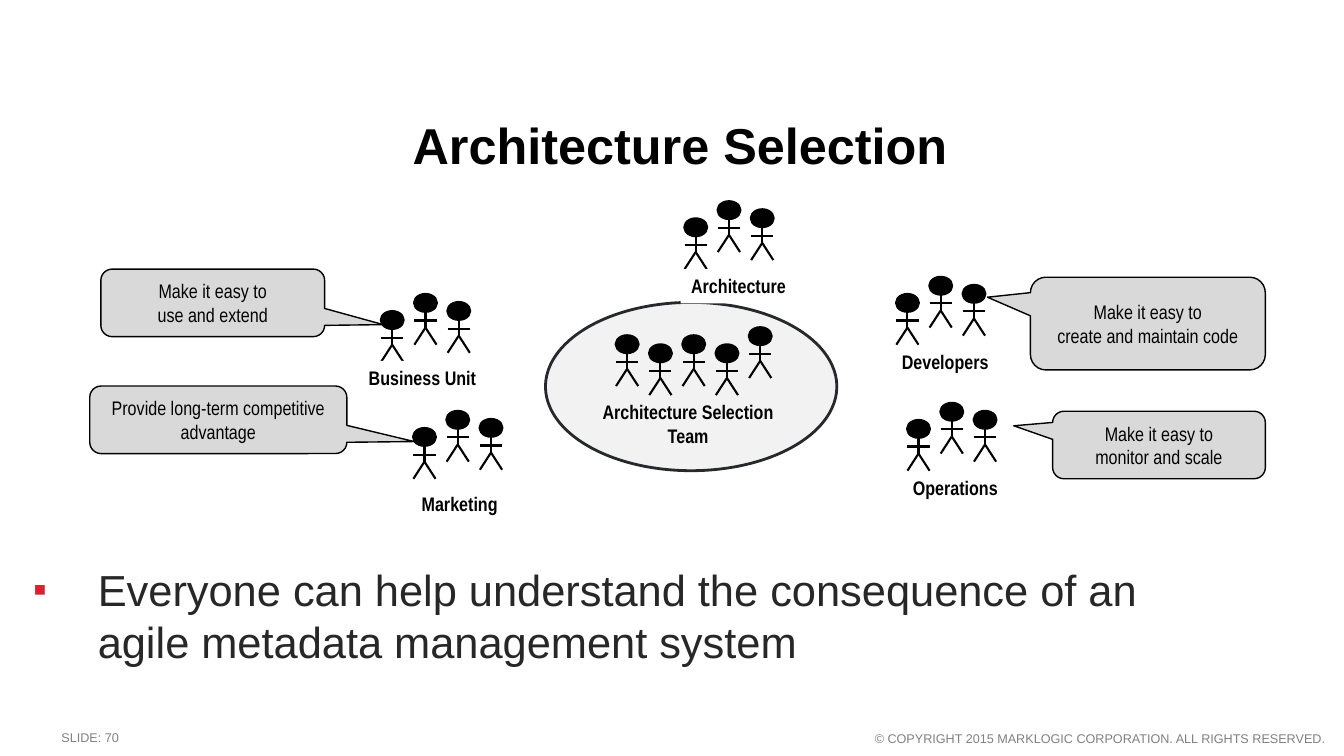
from dataclasses import dataclass

from lxml import etree
from pptx import Presentation
from pptx import util as u
from pptx.dml.color import RGBColor
from pptx.enum import shapes, text
from pptx.oxml.ns import qn

PX = 9144  # EMU in one px, 100 px to the inch
COLORS = {
    "ink": "010101",
    "body": "272727",
    "bullet": "D92231",
    "footer": "808080",
    "callout": "D9D9D9",
    "team": "F2F2F2",
    "team_edge": "27282C",
    "white": "FFFFFF",
}
HEAD_WIDTH, HEAD_HEIGHT, LIMB = 22, 17, 17
PERSON_STEP = 33
TRIO = (17, 0, 8)
TEAM_ROW = (8, 17, 8, 17, 0)


@dataclass(frozen=True)
class Box:
    left: int
    top: int
    width: int
    height: int

    def emu(self) -> tuple[int, ...]:
        return tuple(v * PX for v in (self.left, self.top, self.width, self.height))


@dataclass(frozen=True)
class Crowd:
    name: str
    left: int
    top: int
    label: Box
    drops: tuple[int, ...] = TRIO
    label_fill: str | None = None


@dataclass(frozen=True)
class Callout:
    words: str
    box: Box
    tip: tuple[float, float]


TIP_LEFT, TIP_RIGHT = (-0.683, -0.284), (0.762, 0.322)

CROWDS = [
    Crowd("Business Unit", 378, 292, Box(355, 358, 128, 34), label_fill="white"),
    Crowd("Operations", 900, 400, Box(895, 467, 105, 34)),
    Crowd("Developers", 889, 275, Box(884, 342, 107, 34)),
    Crowd("Architecture Selection\nTeam", 611, 325, Box(587, 392, 191, 57), TEAM_ROW),
    Crowd("Marketing", 410, 408, Box(408, 483, 96, 34), label_fill="white"),
    Crowd("Architecture", 679, 200, Box(675, 267, 115, 34), label_fill="white"),
]
CALLOUTS = [
    Callout("Make it easy to\ncreate and maintain code", Box(1022, 275, 233, 92), TIP_LEFT),
    Callout("Make it easy to\nmonitor and scale", Box(1044, 408, 211, 67), TIP_LEFT),
    Callout("Make it easy to\nuse and extend", Box(100, 267, 222, 67), TIP_RIGHT),
    Callout("Provide long-term competitive advantage", Box(89, 383, 255, 67), TIP_RIGHT),
]


def rgb(name: str) -> RGBColor:
    return RGBColor.from_string(COLORS[name])


def write(shape, words: str, *, size: float, font: str = "Arial", color: str = "ink",
          bold: bool = False, align=text.PP_ALIGN.LEFT, anchor=text.MSO_ANCHOR.TOP,
          wrap: bool = True, grow: bool = False, inset: tuple[int, int] = (10, 5)) -> None:
    """Fill a shape with one paragraph for each line of words."""
    frame = shape.text_frame
    frame.text = words
    frame.word_wrap = wrap
    frame.auto_size = text.MSO_AUTO_SIZE.SHAPE_TO_FIT_TEXT if grow else text.MSO_AUTO_SIZE.NONE
    frame.vertical_anchor = anchor
    frame.margin_left = frame.margin_right = inset[0] * PX
    frame.margin_top = frame.margin_bottom = inset[1] * PX
    for paragraph in frame.paragraphs:
        paragraph.alignment = align
        for run in paragraph.runs:
            run.font.size = u.Pt(size)
            run.font.name = font
            run.font.bold = bold
            run.font.color.rgb = rgb(color)


def add_text(slide, box: Box, words: str, **style):
    shape = slide.shapes.add_textbox(*box.emu())
    write(shape, words, **style)
    return shape


def add_filled(parent, kind, box: Box, fill: str, line: str, weight: float):
    shape = parent.shapes.add_shape(kind, *box.emu())
    shape.shadow.inherit = False
    shape.fill.solid()
    shape.fill.fore_color.rgb = rgb(fill)
    shape.line.color.rgb = rgb(line)
    shape.line.width = u.Pt(weight)
    return shape


def add_line(parent, start: tuple[int, int], end: tuple[int, int]) -> None:
    points = [v * PX for v in (*start, *end)]
    line = parent.shapes.add_connector(shapes.MSO_CONNECTOR.STRAIGHT, *points)
    line.line.color.rgb = rgb("ink")
    line.line.width = u.Pt(1.5)
    etree.SubElement(line.element.spPr, qn("a:effectLst"))


def add_person(group, left: int, top: int) -> None:
    middle, right = left + HEAD_WIDTH // 2, left + HEAD_WIDTH
    neck = top + HEAD_HEIGHT
    hip = neck + LIMB - 1
    arms = (neck + hip) // 2 + 1
    feet = hip + LIMB
    add_filled(group, shapes.MSO_SHAPE.OVAL, Box(left, top, HEAD_WIDTH, HEAD_HEIGHT),
               "ink", "ink", 2)
    add_line(group, (middle, neck), (middle, hip))
    add_line(group, (left, arms), (right, arms))
    for foot in (left, right):
        add_line(group, (middle, hip), (foot, feet))


def add_crowd(slide, crowd: Crowd) -> None:
    group = slide.shapes.add_group_shape()
    for i, drop in enumerate(crowd.drops):
        add_person(group, crowd.left + i * PERSON_STEP, crowd.top + drop)
    label = add_text(slide, crowd.label, crowd.name, size=14, font="Arial Narrow", bold=True,
                     align=text.PP_ALIGN.CENTER, wrap=False, grow=True)
    if crowd.label_fill:
        label.fill.solid()
        label.fill.fore_color.rgb = rgb(crowd.label_fill)


def add_callout(slide, callout: Callout) -> None:
    shape = add_filled(slide, shapes.MSO_SHAPE.ROUNDED_RECTANGULAR_CALLOUT, callout.box,
                       "callout", "ink", 1)
    for i, value in enumerate((*callout.tip, 0.167)):
        shape.adjustments[i] = value
    write(shape, callout.words, size=14, font="Arial Narrow",
          align=text.PP_ALIGN.CENTER, anchor=text.MSO_ANCHOR.MIDDLE)


def add_bullet(paragraph) -> None:
    properties = paragraph._p.get_or_add_pPr()
    properties.set("marL", str(84 * PX))
    properties.set("indent", str(-64 * PX))
    color = etree.SubElement(properties, qn("a:buClr"))
    etree.SubElement(color, qn("a:srgbClr"), val=COLORS["bullet"])
    etree.SubElement(properties, qn("a:buSzPct"), val="90000")
    etree.SubElement(properties, qn("a:buFont"), typeface="Arial")
    etree.SubElement(properties, qn("a:buChar"), char="▪")


def main() -> None:
    presentation = Presentation()
    presentation.slide_width, presentation.slide_height = 1333 * PX, 750 * PX
    slide = presentation.slides.add_slide(presentation.slide_layouts[5])

    title = slide.shapes.title
    title.left, title.top, title.width, title.height = Box(183, 83, 983, 100).emu()
    write(title, "Architecture Selection", size=36, bold=True, align=text.PP_ALIGN.CENTER,
          anchor=text.MSO_ANCHOR.MIDDLE, inset=(13, 6))
    title.text_frame.paragraphs[0].line_spacing = u.Pt(58)

    message = add_text(
        slide, Box(0, 550, 1200, 120),
        "Everyone can help understand the consequence of an agile metadata management system",
        size=31, color="body", anchor=text.MSO_ANCHOR.MIDDLE, inset=(13, 6))
    add_bullet(message.text_frame.paragraphs[0])

    add_filled(slide, shapes.MSO_SHAPE.OVAL, Box(541, 300, 289, 167), "team", "team_edge", 2)
    for crowd in CROWDS:
        add_crowd(slide, crowd)
    for callout in CALLOUTS:
        add_callout(slide, callout)

    add_text(slide, Box(61, 724, 553, 15), "SLIDE: 70", size=9, color="footer", inset=(0, 0))
    add_text(slide, Box(861, 725, 453, 15),
             "© COPYRIGHT 2015 MARKLOGIC CORPORATION. ALL RIGHTS RESERVED.",
             size=9, color="footer", align=text.PP_ALIGN.RIGHT, inset=(0, 0))
    presentation.save("out.pptx")


if __name__ == "__main__":
    main()
